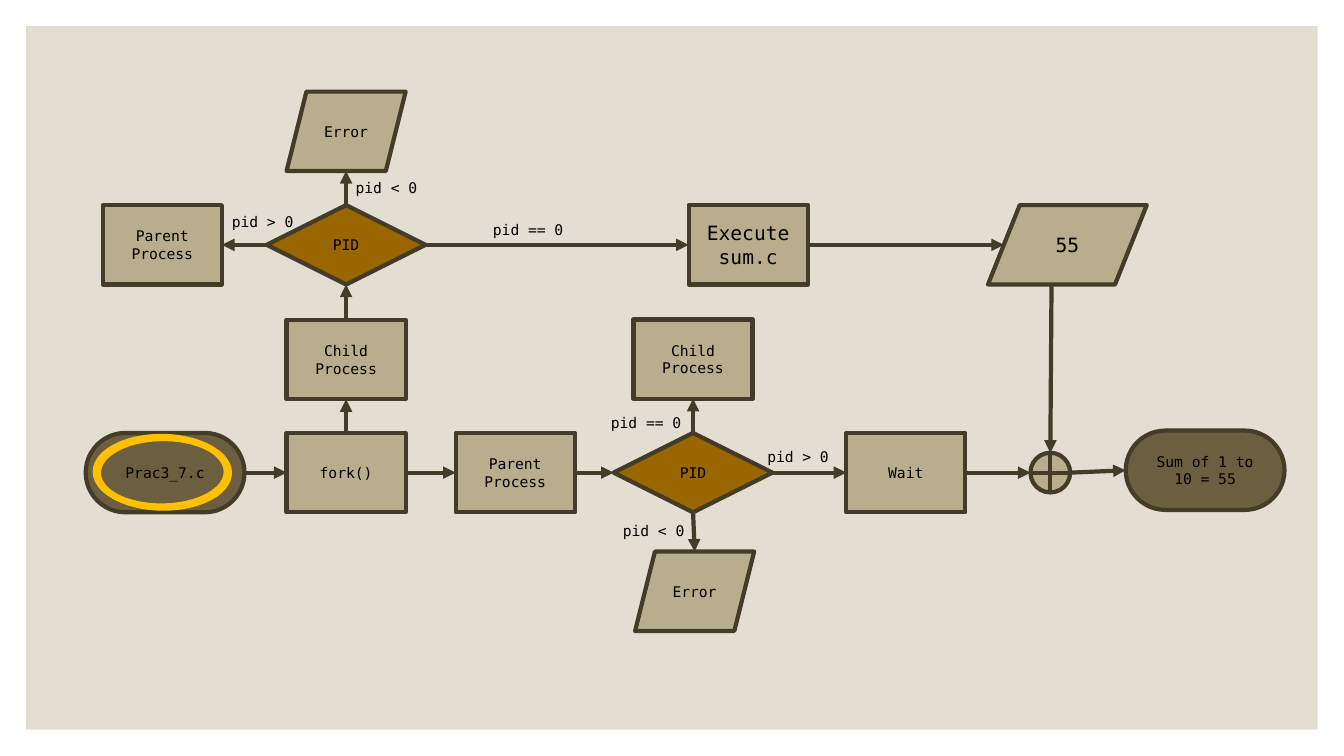
from lxml.etree import SubElement
from pptx import Presentation
from pptx.dml.color import RGBColor
from pptx.enum.shapes import MSO_CONNECTOR as Connector, MSO_SHAPE as Preset
from pptx.enum.text import MSO_ANCHOR as Anchor, PP_ALIGN as Align
from pptx.oxml.ns import qn
from pptx.util import Cm, Inches, Pt

FONT = "DejaVu Sans Mono"
COLORS = {"panel": "E3DED1", "step": "BAAD8D", "decision": "996600",
          "terminal": "6C5F40", "line": "443C29", "ring": "FFC000", "text": "000000"}

# Kinds of flowchart part: preset, fill, columns and rows of a 1 cm grid
KINDS = {
    "step": (Preset.RECTANGLE, "step", 3, 2),
    "decision": (Preset.DIAMOND, "decision", 4, 2),
    "terminal": (Preset.ROUNDED_RECTANGLE, "terminal", 4, 2),
    "error": (Preset.PARALLELOGRAM, "step", 3, 2),
    "output": (Preset.FLOWCHART_DATA, "step", 4, 2),
    "junction": (Preset.FLOWCHART_OR, "step", 1, 1),
}
# Points where arrows attach, as shares of a part's width and height
SIDES = {"top": (0.5, 0), "bottom": (0.5, 1), "left": (0, 0.5), "right": (1, 0.5),
         "slanted left": (0.1, 0.5), "slanted foot": (0.4, 1)}


def color(name):
    return RGBColor.from_string(COLORS[name])


def write(shape, text, size=10.5, align=Align.CENTER, anchor=Anchor.MIDDLE):
    frame = shape.text_frame
    frame.text = text
    for name, value in {"word_wrap": True, "vertical_anchor": anchor}.items():
        setattr(frame, name, value)
    for paragraph in frame.paragraphs:
        paragraph.alignment = align
        font = paragraph.runs[0].font
        for name, value in {"name": FONT, "size": Pt(size)}.items():
            setattr(font, name, value)
        font.color.rgb = color("text")


def add_outline(shape, name, width):
    shape.shadow.inherit = False
    shape.line.color.rgb = color(name)
    shape.line.width = Pt(width)


def add_part(slide, origin, kind, center, text="", size=10.5):
    preset, fill, columns, rows = KINDS[kind]
    left = origin[0] + center[0] - columns / 2
    top = origin[1] + center[1] - rows / 2
    shape = slide.shapes.add_shape(preset, Cm(left), Cm(top), Cm(columns), Cm(rows))
    shape.fill.solid()
    shape.fill.fore_color.rgb = color(fill)
    add_outline(shape, "line", 3)
    if kind == "terminal":
        shape.adjustments[0] = 0.5
    if text:
        write(shape, text, size)
    return shape


def add_label(slide, origin, corner, text):
    left, top = (start + offset for start, offset in zip(origin, corner))
    box = slide.shapes.add_textbox(Cm(left), Cm(top), Cm(2.64), Cm(0.74))
    write(box, text, align=Align.LEFT, anchor=Anchor.TOP)


def side_point(shape, side):
    across, down = SIDES[side]
    return int(shape.left + across * shape.width), int(shape.top + down * shape.height)


def add_arrow(slide, source, source_side, target, target_side):
    arrow = slide.shapes.add_connector(
        Connector.STRAIGHT, *side_point(source, source_side), *side_point(target, target_side))
    arrow.line.color.rgb = color("line")
    arrow.line.width = Pt(3)
    properties = arrow._element.spPr
    SubElement(properties.find(qn("a:ln")), qn("a:tailEnd"), type="triangle")
    SubElement(properties, qn("a:effectLst"))


def add_panel(slide, width, height):
    margin = Inches(0.26)
    panel = slide.shapes.add_shape(
        Preset.RECTANGLE, margin, margin, width - 2 * margin, height - 2 * margin)
    panel.shadow.inherit = False
    panel.fill.solid()
    panel.fill.fore_color.rgb = color("panel")
    panel.line.fill.background()


def add_child_branch(slide, origin):
    """Upper branch: the child runs sum.c and gives its output."""
    fork_x, middle = 6.13, 3.86
    child = add_part(slide, origin, "step", (fork_x, 6.75), "Child\nProcess")
    decision = add_part(slide, origin, "decision", (fork_x, middle), "PID")
    parent = add_part(slide, origin, "step", (1.5, middle), "Parent\nProcess")
    error = add_part(slide, origin, "error", (fork_x, 1), "Error")
    execute = add_part(slide, origin, "step", (16.26, middle), "Execute sum.c", 14)
    output = add_part(slide, origin, "output", (24.3, middle), "55", 14)
    for link in [(child, "top", decision, "bottom"), (decision, "left", parent, "right"),
                 (decision, "top", error, "bottom"), (decision, "right", execute, "left"),
                 (execute, "right", output, "slanted left")]:
        add_arrow(slide, *link)
    for corner, text in [((3, 2.92), "pid > 0"), ((6.12, 2.08), "pid < 0"),
                         ((9.58, 3.13), "pid == 0")]:
        add_label(slide, origin, corner, text)
    return child, output


def add_parent_branch(slide, origin):
    """Lower branch: start, fork, wait for the child and end."""
    middle, decision_x = 3.86, 15.3
    start = add_part(slide, origin, "terminal", (2, middle), "Prac3_7.c")
    fork = add_part(slide, origin, "step", (6.56, middle), "fork()")
    parent = add_part(slide, origin, "step", (10.82, middle), "Parent\nProcess")
    decision = add_part(slide, origin, "decision", (decision_x, middle), "PID")
    child = add_part(slide, origin, "step", (decision_x, 1), "Child\nProcess")
    error = add_part(slide, origin, "error", (decision_x + 0.04, 6.85), "Error")
    wait = add_part(slide, origin, "step", (20.66, middle), "Wait")
    junction = add_part(slide, origin, "junction", (24.3, middle))
    result = add_part(slide, origin, "terminal", (28.2, 3.8), "Sum of 1 to 10 = 55")
    chain = [start, fork, parent, decision, wait, junction, result]
    for source, target in zip(chain, chain[1:]):
        add_arrow(slide, source, "right", target, "left")
    add_arrow(slide, decision, "top", child, "bottom")
    add_arrow(slide, decision, "bottom", error, "top")
    for corner, text in [((16.92, 3.1), "pid > 0"), ((13.28, 4.98), "pid < 0"),
                         ((12.98, 2.26), "pid == 0")]:
        add_label(slide, origin, corner, text)
    return start, fork, junction


def add_start_rings(slide, start):
    """Two slightly shifted rings that mark the starting program."""
    for across, down in [(0.12, 0.05), (0.1, 0.04)]:
        ring = slide.shapes.add_shape(
            Preset.OVAL, start.left + Inches(across), start.top + Inches(down),
            Inches(1.3), Inches(0.69))
        ring.fill.background()
        add_outline(ring, "ring", 4.5)


def main():
    presentation = Presentation()
    presentation.slide_width = Inches(13.33)
    presentation.slide_height = Inches(7.5)
    slide = presentation.slides.add_slide(presentation.slide_layouts[6])
    add_panel(slide, presentation.slide_width, presentation.slide_height)
    child, output = add_child_branch(slide, (2.59, 2.31))
    start, fork, junction = add_parent_branch(slide, (2.16, 8.05))
    # Arrows between the two branches
    add_arrow(slide, fork, "top", child, "bottom")
    add_arrow(slide, output, "slanted foot", junction, "top")
    add_start_rings(slide, start)
    presentation.save("out.pptx")


if __name__ == "__main__":
    main()
